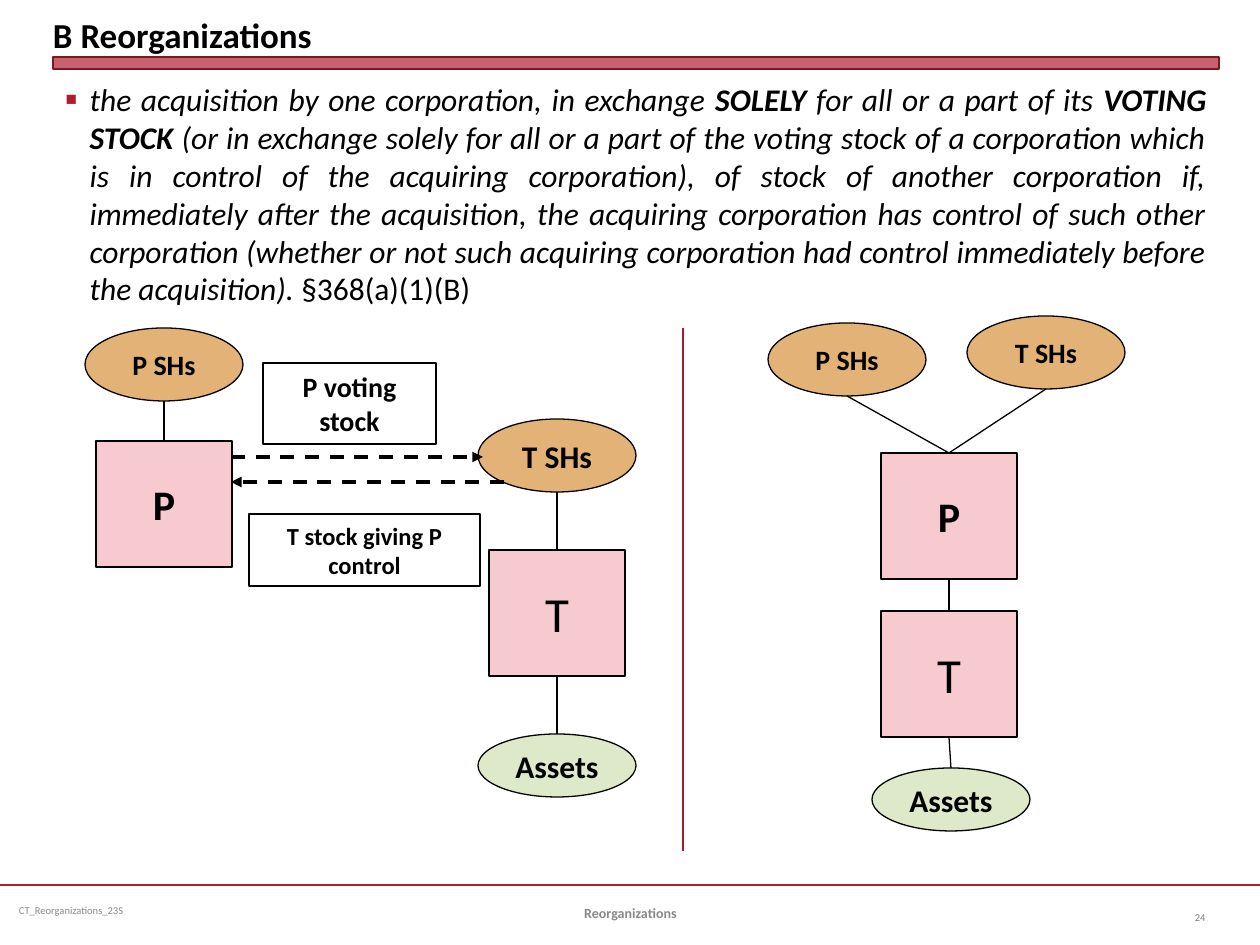
from pptx import Presentation
from pptx.dml.color import RGBColor
from pptx.enum.dml import MSO_LINE
from pptx.enum.shapes import MSO_CONNECTOR, MSO_SHAPE
from pptx.enum.text import MSO_ANCHOR, MSO_AUTO_SIZE, PP_ALIGN
from pptx.oxml.ns import qn
from pptx.util import Emu, Pt
from lxml import etree

RECT, OVAL = MSO_SHAPE.RECTANGLE, MSO_SHAPE.OVAL
STRAIGHT, DASH = MSO_CONNECTOR.STRAIGHT, MSO_LINE.DASH
LEFT, CENTER, RIGHT, JUSTIFY = PP_ALIGN.LEFT, PP_ALIGN.CENTER, PP_ALIGN.RIGHT, PP_ALIGN.JUSTIFY
MIDDLE, TOP, BOTTOM = MSO_ANCHOR.MIDDLE, MSO_ANCHOR.TOP, MSO_ANCHOR.BOTTOM
NO_FIT, GROW = MSO_AUTO_SIZE.NONE, MSO_AUTO_SIZE.SHAPE_TO_FIT_TEXT

FONT = "Calibri"
BLACK, GREY, CRIMSON = "000000", "898989", "B01C2E"
PINK, TAN, GREEN = "F7CAD0", "E3B276", "DEE9C9"
TOP_SIDE, BOTTOM_SIDE = 0, 2

DEFINITION = [
    ("the acquisition by one corporation, in exchange ", False, True),
    ("SOLELY", True, True),
    (" for all or a part of its ", False, True),
    ("VOTING STOCK", True, True),
    (" (or in exchange solely for all or a part of the voting stock of a corporation "
     "which is in control of the acquiring corporation), of stock of another corporation "
     "if, immediately after the acquisition, the acquiring corporation has control of such "
     "other corporation (whether or not such acquiring corporation had control immediately "
     "before the acquisition). ", False, True),
    ("§368(a)(1)(B)", False, False),
]


def px(value):
    """Turn slide pixels into EMU."""
    return Emu(round(value * 914400 / 126))


def color(hex_value):
    """Turn a hex string into a colour."""
    return RGBColor.from_string(hex_value)


def add_child(parent, tag, **attributes):
    """Append a DrawingML element to a parent."""
    return etree.SubElement(parent, qn(tag), attributes)


def write(frame, text, size, hue=BLACK, bold=False, align=CENTER, anchor=MIDDLE,
          wrap=True, fit=NO_FIT, insets=None):
    """Write a string, or (text, bold, italic) runs, into a text frame."""
    frame.auto_size, frame.word_wrap, frame.vertical_anchor = fit, wrap, anchor
    if insets:
        frame.margin_left, frame.margin_top, frame.margin_right, frame.margin_bottom = map(px, insets)
    paragraph = frame.paragraphs[0]
    paragraph.alignment, paragraph.space_before = align, Pt(0)
    runs = [(text, bold, False)] if isinstance(text, str) else text
    for words, is_bold, is_italic in runs:
        run = paragraph.add_run()
        run.text = words
        font = run.font
        font.name, font.size, font.bold, font.italic = FONT, Pt(size), is_bold, is_italic
        font.color.rgb = color(hue)


def place(placeholder, left, top, width, height):
    """Move a placeholder and return its text frame."""
    placeholder.left, placeholder.top = px(left), px(top)
    placeholder.width, placeholder.height = px(width), px(height)
    return placeholder.text_frame


def set_bullet(paragraph):
    """Give a paragraph a small crimson square bullet."""
    properties = paragraph._p.get_or_add_pPr()
    properties.set("marL", str(px(24)))
    properties.set("indent", str(-px(24)))
    add_child(add_child(properties, "a:buClr"), "a:srgbClr", val=CRIMSON)
    add_child(properties, "a:buSzPct", val="60000")
    add_child(properties, "a:buFont", typeface="Arial")
    add_child(properties, "a:buChar", char="■")


def add_block(slide, preset, box, fill=None, outline=BLACK, weight=0.75):
    """Add an outlined preset shape."""
    block = slide.shapes.add_shape(preset, *map(px, box))
    block.shadow.inherit = False
    if fill:
        block.fill.solid()
        block.fill.fore_color.rgb = color(fill)
    else:
        block.fill.background()
    block.line.color.rgb = color(outline)
    block.line.width = Pt(weight)
    return block


def add_company(slide, left, top, name, size, bold=False):
    """Add a corporation square."""
    company = add_block(slide, RECT, (left, top, 136, 126), PINK)
    write(company.text_frame, name, size, bold=bold, wrap=False)
    return company


def add_oval(slide, left, top, name, size, fill=TAN, height=73):
    """Add an oval for shareholders or assets."""
    oval = add_block(slide, OVAL, (left, top, 158, height), fill)
    write(oval.text_frame, name, size, bold=True, wrap=False)
    return oval


def add_label(slide, box, text, size):
    """Add a framed label for an exchange."""
    write(add_block(slide, RECT, box).text_frame, text, size, bold=True, fit=GROW)


def add_note(slide, box, text, size, **text_format):
    """Add a footer text box."""
    write(slide.shapes.add_textbox(*map(px, box)).text_frame, text, size, **text_format)


def add_line(slide, start, end, hue=BLACK, weight=0.75, arrow=False):
    """Add a straight line, or a dashed arrow, between two points."""
    line = slide.shapes.add_connector(STRAIGHT, *map(px, start + end))
    line.line.color.rgb = color(hue)
    line.line.width = Pt(weight)
    properties = line._element.spPr
    if arrow:
        line.line.dash_style = DASH
        add_child(properties.find(qn("a:ln")), "a:tailEnd", type="triangle")
    add_child(properties, "a:effectLst")
    return line


def join(slide, owner, owned):
    """Join the bottom of one block to the top of another."""
    link = add_line(slide, (0, 0), (0, 0))
    if owner.auto_shape_type == RECT:
        link.begin_connect(owner, BOTTOM_SIDE)
    else:
        link.begin_x = owner.left + owner.width // 2
        link.begin_y = owner.top + owner.height
    link.end_connect(owned, TOP_SIDE)


def add_frame(slide):
    """Add the heading bar, footer rule and footer texts."""
    bar = add_block(slide, RECT, (53, 57, 1166, 12), CRIMSON, "821522", 0)
    tint = bar._element.spPr.find(qn("a:solidFill")).find(qn("a:srgbClr"))
    add_child(tint, "a:alpha", val="69000")
    add_line(slide, (0, 885), (1260, 885), CRIMSON, 1.25)
    add_note(slide, (10, 885, 325, 50), "CT_Reorganizations_23S", 6, hue=GREY, align=LEFT,
             insets=(9, 5, 9, 5))
    add_note(slide, (431, 888, 399, 50), "Reorganizations", 8, hue=GREY, bold=True)
    add_note(slide, (1155, 892, 63, 50), "24", 6, hue="808080", align=RIGHT)


def add_exchange(slide):
    """Draw the stock exchange on the left."""
    p_holders = add_oval(slide, 85, 328, "P SHs", 16)
    p_company = add_company(slide, 96, 441, "P", 24, bold=True)
    t_holders = add_oval(slide, 478, 419, "T SHs", 18)
    t_company = add_company(slide, 489, 550, "T", 28)
    assets = add_oval(slide, 478, 734, "Assets", 18, GREEN, 63)
    for owner, owned in ((p_holders, p_company), (t_holders, t_company), (t_company, assets)):
        join(slide, owner, owned)
    add_line(slide, (231, 457), (483, 457), weight=2, arrow=True)
    add_line(slide, (504, 482), (231, 482), weight=2, arrow=True)
    add_label(slide, (263, 363, 173, 81), "P voting stock", 16)
    add_label(slide, (249, 514, 231, 72), "T stock giving P control", 14)


def add_result(slide):
    """Draw the resulting ownership on the right."""
    p_holders = add_oval(slide, 768, 323, "P SHs", 16)
    t_holders = add_oval(slide, 967, 316, "T SHs", 16)
    p_company = add_company(slide, 881, 453, "P", 24, bold=True)
    t_company = add_company(slide, 881, 611, "T", 28)
    assets = add_oval(slide, 872, 768, "Assets", 18, GREEN, 63)
    for owner, owned in ((p_holders, p_company), (t_holders, p_company),
                         (p_company, t_company), (t_company, assets)):
        join(slide, owner, owned)


def main():
    """Build and save the slide."""
    deck = Presentation()
    deck.slide_width, deck.slide_height = px(1260), px(945)
    slide = deck.slides.add_slide(deck.slide_layouts[1])
    heading = place(slide.shapes.title, 53, 6, 1166, 50)
    write(heading, "B Reorganizations", 20, bold=True, align=LEFT, anchor=BOTTOM,
          insets=(0, 0, 0, 0))
    body = place(slide.placeholders[1], 53, 74, 1166, 801)
    set_bullet(body.paragraphs[0])
    write(body, DEFINITION, 18, align=JUSTIFY, anchor=TOP)
    add_frame(slide)
    add_exchange(slide)
    add_line(slide, (683, 328), (683, 851), "B0182A")
    add_result(slide)
    deck.save("out.pptx")


if __name__ == "__main__":
    main()
